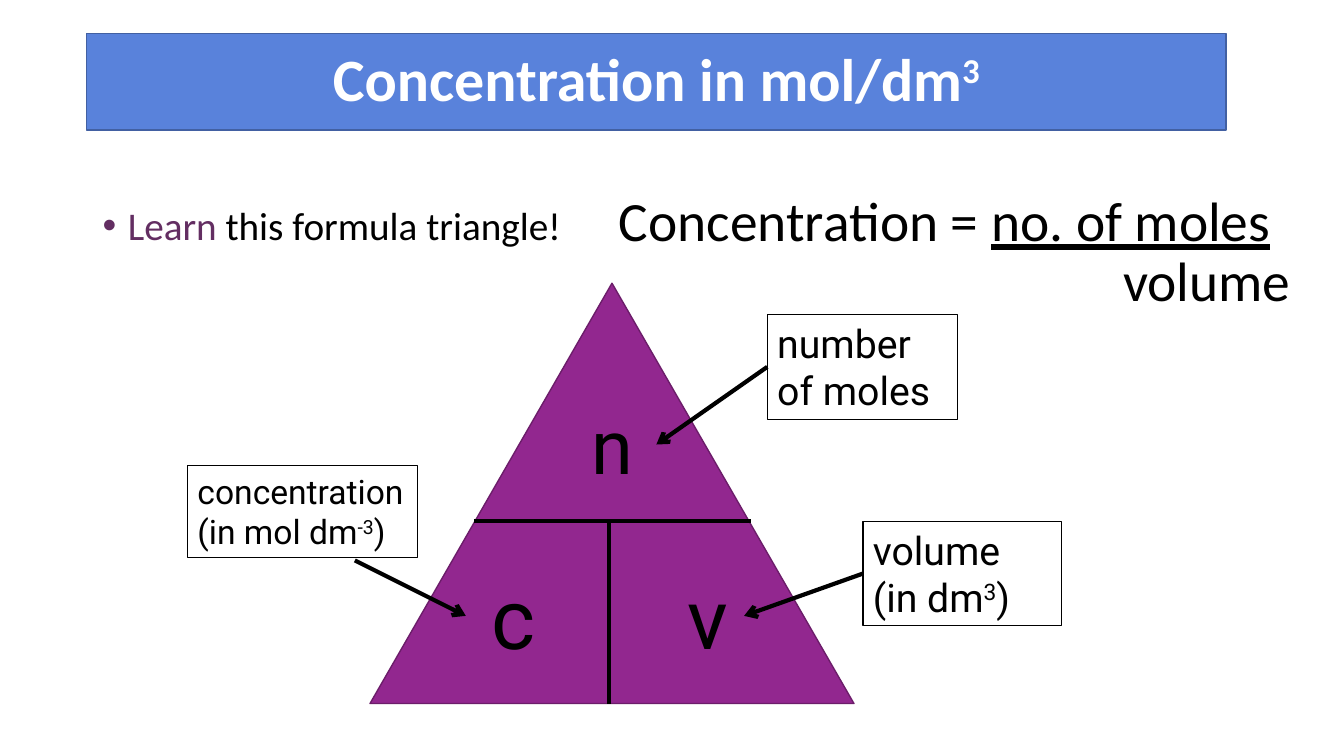
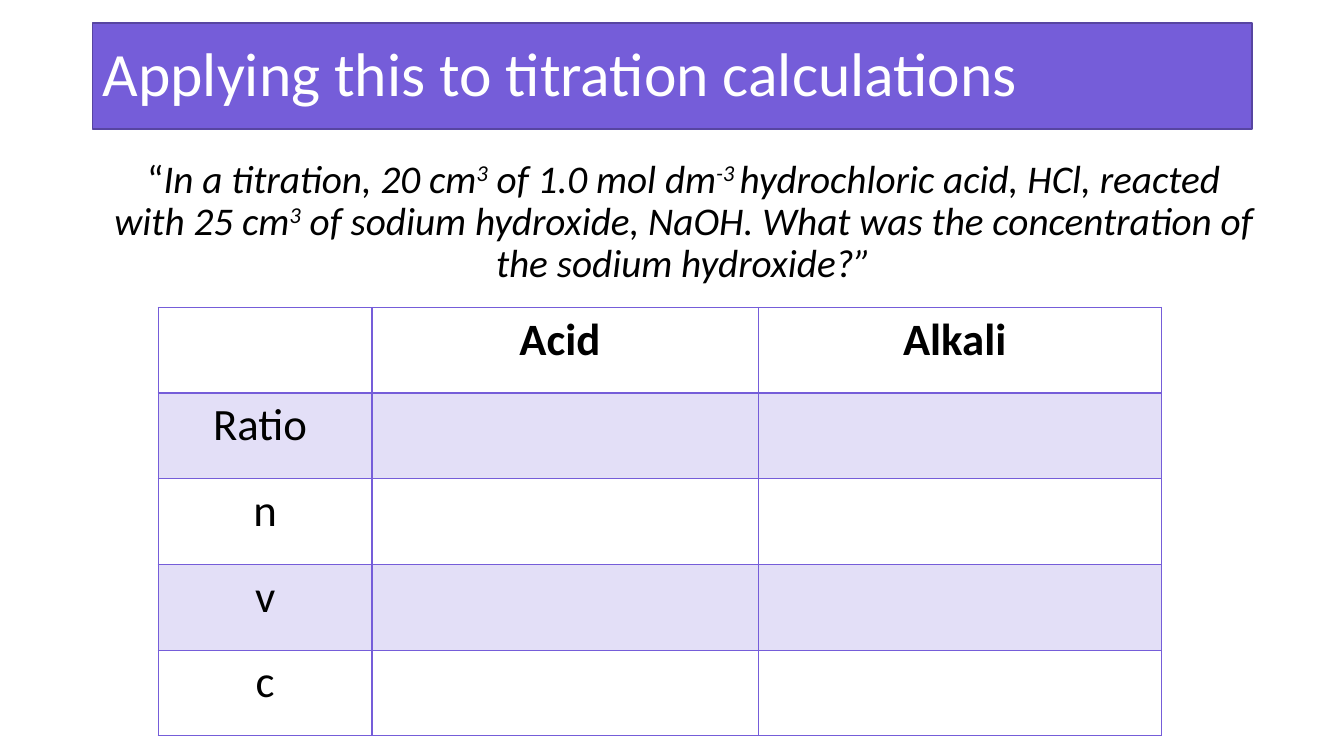
from dataclasses import dataclass

from lxml.etree import SubElement
from pptx import Presentation
from pptx.dml.color import RGBColor
from pptx.enum.shapes import MSO_CONNECTOR, MSO_SHAPE
from pptx.enum.text import MSO_ANCHOR, PP_ALIGN
from pptx.oxml.ns import qn
from pptx.util import Inches, Pt

LEFT, MID = PP_ALIGN.LEFT, PP_ALIGN.CENTER


@dataclass(frozen=True)
class Theme:
    # Colours
    ink: str = "000000"
    paper: str = "FFFFFF"
    blue: str = "5982DB"
    navy: str = "4260A2"
    violet: str = "755DD9"
    indigo: str = "5745A1"
    tint: str = "E3DFF7"
    purple: str = "92278F"
    plum: str = "6C1D6A"
    accent: str = "632E62"
    # Fonts
    main: str = "Calibri"
    label: str = "Roboto"
    # Type sizes
    title: float = 44
    band: float = 42.9
    sum: float = 39.6
    cell: float = 32
    body: float = 28
    small: float = 24
    big: float = 60
    top: float = 54
    # Line widths
    thin: float = 0.75
    edge: float = 1
    rule: float = 2
    bold: float = 3


class Deck:
    def __init__(self, theme):
        self.t = theme
        self.prs = Presentation()
        self.prs.slide_width = Inches(13.33)
        self.prs.slide_height = Inches(7.5)

    def page(self):
        self.slide = self.prs.slides.add_slide(self.prs.slide_layouts[6])

    def fill_in(self, para, parts, size, font=None, color=None, align=LEFT, space=None):
        """Parts are strings or (text, marks, color); marks: b, i, u, ^."""
        para.alignment = align
        para.line_spacing = space
        for part in [parts] if isinstance(parts, str) else parts:
            text, marks, tone = part if isinstance(part, tuple) else (part, "", None)
            run = para.add_run()
            run.text = text
            face = run.font
            face.size = Pt(size)
            face.name = font or self.t.main
            face.color.rgb = RGBColor.from_string(tone or color or self.t.ink)
            face.bold = "b" in marks
            face.italic = "i" in marks
            face.underline = "u" in marks
            if "^" in marks:
                run._r.get_or_add_rPr().set("baseline", "30000")

    def shape(self, kind, at, fill, line, width):
        item = self.slide.shapes.add_shape(kind, *map(Inches, at))
        item.shadow.inherit = False
        if fill:
            item.fill.solid()
            item.fill.fore_color.rgb = RGBColor.from_string(fill)
        else:
            item.fill.background()
        item.line.color.rgb = RGBColor.from_string(line)
        item.line.width = Pt(width)
        return item

    def text(self, at, parts, size, **style):
        frame = self.slide.shapes.add_textbox(*map(Inches, at)).text_frame
        frame.word_wrap = True
        self.fill_in(frame.paragraphs[0], parts, size, **style)
        return frame

    def band(self, at, parts, size, fill, line, align):
        frame = self.shape(MSO_SHAPE.RECTANGLE, at, fill, line, self.t.edge).text_frame
        frame.word_wrap = True
        frame.vertical_anchor = MSO_ANCHOR.MIDDLE
        self.fill_in(frame.paragraphs[0], parts, size, color=self.t.paper,
                     align=align, space=0.9)

    def box(self, at, parts, size):
        frame = self.shape(MSO_SHAPE.RECTANGLE, at, None, self.t.ink, self.t.thin).text_frame
        frame.word_wrap = True
        frame.vertical_anchor = MSO_ANCHOR.TOP
        self.fill_in(frame.paragraphs[0], parts, size, font=self.t.label)

    def line(self, start, end, arrow=False):
        item = self.slide.shapes.add_connector(
            MSO_CONNECTOR.STRAIGHT, *map(Inches, (*start, *end)))
        item.line.color.rgb = RGBColor.from_string(self.t.ink)
        item.line.width = Pt(self.t.bold)
        props = item._element.spPr
        if arrow:
            SubElement(props.find(qn("a:ln")), qn("a:tailEnd"), type="arrow")
        SubElement(props, qn("a:effectLst"))

    def indent(self, para, left, first=0, mark=None):
        props = para._p.get_or_add_pPr()
        props.set("marL", str(Inches(left)))
        props.set("indent", str(Inches(first)))
        if mark:
            SubElement(props, qn("a:buFont"), typeface="Arial")
            SubElement(props, qn("a:buChar"), char=mark)

    def border(self, cell, side, width):
        line = SubElement(cell._tc.get_or_add_tcPr(), qn("a:ln" + side), w=str(Pt(width)))
        fill = SubElement(line, qn("a:solidFill"))
        SubElement(fill, qn("a:srgbClr"), val=self.t.violet)

    def table(self, at, cols, high, rows):
        size = (sum(cols), high * len(rows))
        grid = self.slide.shapes.add_table(
            len(rows), len(cols), *map(Inches, (*at, *size))).table
        grid.first_row = grid.horz_banding = False
        for col, wide in zip(grid.columns, cols):
            col.width = Inches(wide)
        for r, row in enumerate(rows):
            grid.rows[r].height = Inches(high)
            for c, word in enumerate(row):
                cell = grid.cell(r, c)
                for side in "LRTB":
                    heavy = (r, side) in ((0, "B"), (1, "T"))
                    self.border(cell, side, self.t.rule if heavy else self.t.edge)
                cell.fill.solid()
                cell.fill.fore_color.rgb = RGBColor.from_string(
                    self.t.tint if r % 2 else self.t.paper)
                if word:
                    self.fill_in(cell.text_frame.paragraphs[0],
                                 [(word, "" if r else "b", None)], self.t.cell, align=MID)


def triangle(deck):
    t = deck.t
    deck.page()

    # Formula as a fraction
    frame = deck.text((6.04, 1.89, 7.2, 1.25),
                      ["Concentration = ", ("no. of moles", "u", None)], t.sum, space=0.9)
    frame.vertical_anchor = MSO_ANCHOR.MIDDLE
    below = frame.add_paragraph()
    deck.fill_in(below, "volume", t.sum, space=0.9)
    deck.indent(below, 5)

    # Prompt
    frame = deck.text((0.92, 2, 5, 0.6),
                      [("Learn", "", t.accent), " this formula triangle!"],
                      t.body, space=0.9)
    deck.indent(frame.paragraphs[0], 0.25, -0.25, "•")

    # Triangle with its dividers and letters
    deck.shape(MSO_SHAPE.ISOSCELES_TRIANGLE, (3.67, 2.81, 4.8, 4.17),
               t.purple, t.plum, t.edge)
    deck.line((4.7, 5.17), (7.45, 5.17))
    deck.line((6.04, 5.17), (6.04, 6.98))
    for word, at, size, align in (
            ("n", (5.64, 3.91, 0.87, 1.01), t.top, MID),
            ("c", (4.78, 5.56, 0.95, 1.11), t.big, LEFT),
            ("v", (6.43, 5.56, 1.18, 1.11), t.big, MID)):
        deck.text(at, word, size, font=t.label, align=align)

    # Labels with arrows
    for at, parts, size, start, end in (
            ((7.61, 3.12, 1.89, 1.04), "number of moles",
             t.body, (7.61, 3.64), (6.51, 4.41)),
            ((1.86, 4.62, 2.28, 0.91), ["concentration (in mol dm", ("-3", "^", None), ")"],
             t.small, (3.52, 5.56), (4.62, 6.11)),
            ((8.56, 5.17, 1.97, 1.04), ["volume (in dm", ("3", "^", None), ")"],
             t.body, (8.56, 5.69), (7.38, 6.11))):
        deck.box(at, parts, size)
        deck.line(start, end, arrow=True)

    # Title band
    deck.band((0.86, 0.33, 11.3, 0.96),
              [("Concentration in mol/dm", "b", None), ("3", "b^", None)],
              t.band, t.blue, t.navy, MID)


def titration(deck):
    t = deck.t
    deck.page()

    # Title band
    deck.band((0.92, 0.23, 11.5, 1.05), "Applying this to titration calculations",
              t.title, t.violet, t.indigo, LEFT)

    # Question
    deck.text((1.03, 1.53, 11.5, 1.4), [
        "“",
        ("In a titration, 20 cm", "i", None), ("3", "i^", None),
        (" of 1.0 mol dm", "i", None), ("-3 ", "i^", None),
        ("hydrochloric acid, HCl, reacted with 25 cm", "i", None), ("3", "i^", None),
        (" of sodium hydroxide, NaOH. What was the concentration of "
         "the sodium hydroxide?”", "i", None),
    ], t.body, align=MID, space=0.9)

    # Working table
    names = ("Ratio ", "n", "v", "c")
    deck.table((1.57, 3.05), (2.12, 3.83, 4), 0.85,
               [("", "Acid ", "Alkali ")] + [(name, "", "") for name in names])


def main():
    deck = Deck(Theme())
    triangle(deck)
    titration(deck)
    deck.prs.save("out.pptx")


if __name__ == "__main__":
    main()
